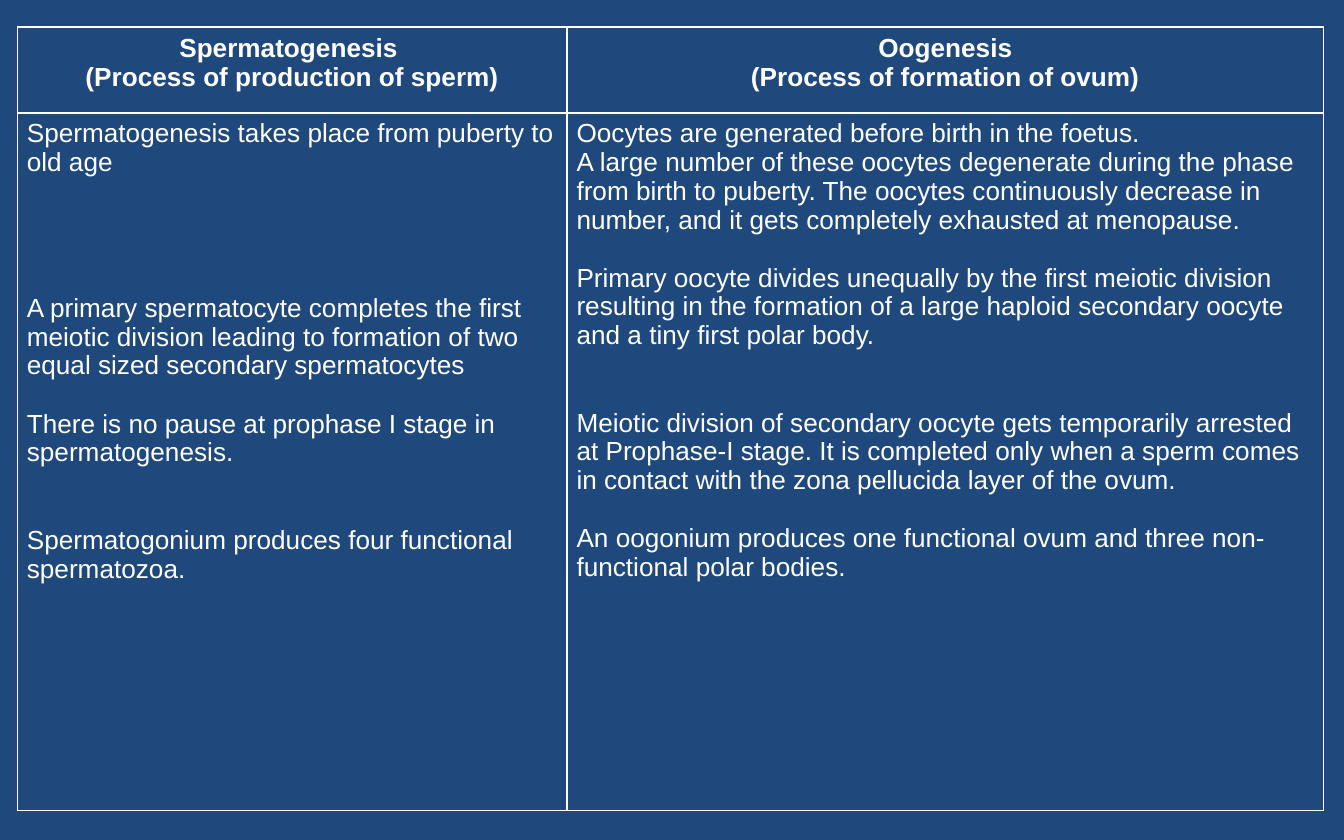
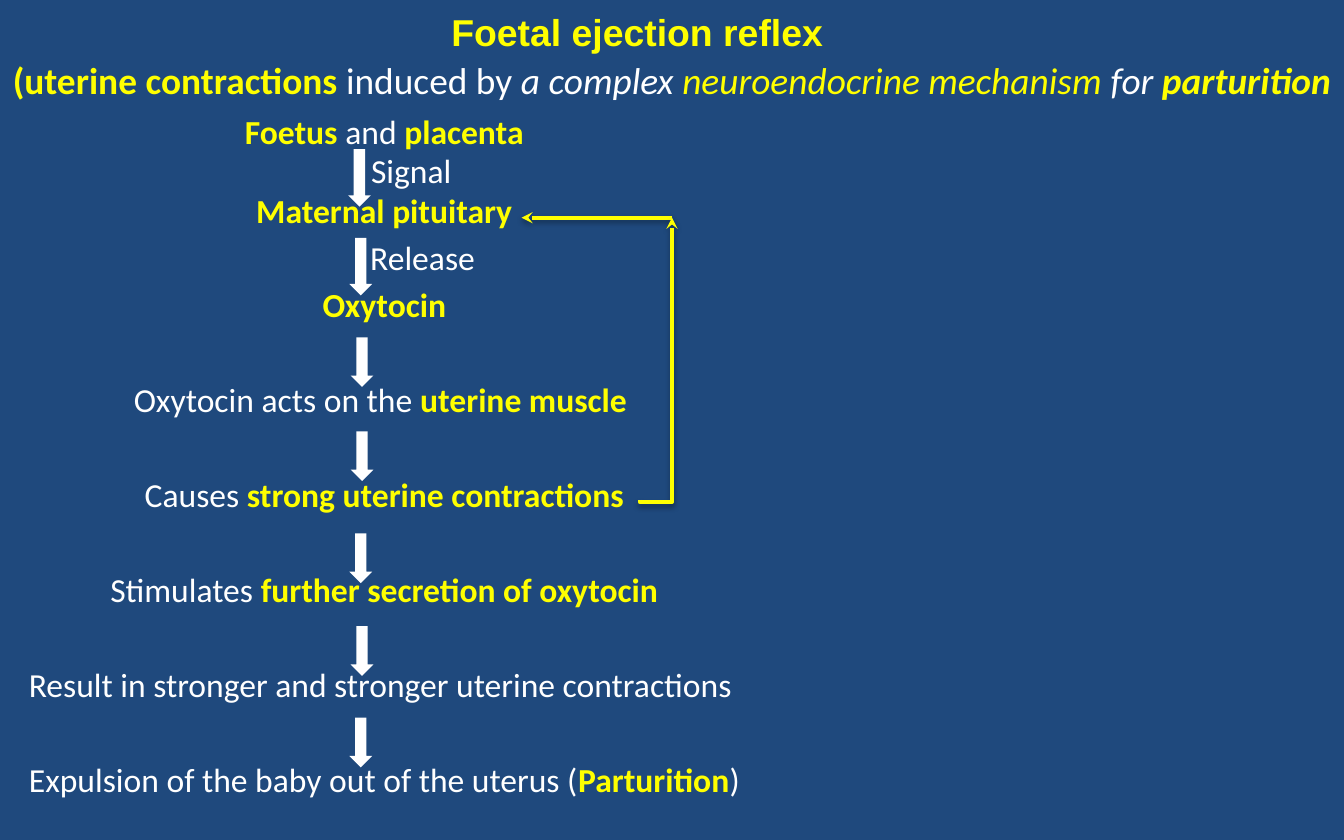
from dataclasses import dataclass

from lxml.etree import SubElement
from pptx import Presentation
from pptx.dml.color import RGBColor
from pptx.enum.shapes import MSO_CONNECTOR, MSO_SHAPE
from pptx.enum.text import MSO_ANCHOR, PP_ALIGN
from pptx.oxml import parse_xml
from pptx.oxml.ns import nsdecls, qn
from pptx.util import Pt


@dataclass(frozen=True)
class Theme:
    navy: RGBColor = RGBColor(0x1F, 0x49, 0x7D)
    white: RGBColor = RGBColor(0xFF, 0xFF, 0xFF)
    yellow: RGBColor = RGBColor(0xFF, 0xFF, 0x00)
    heading_font: str = "Arial"
    flow_font: str = "Calibri"
    title_size: int = 20
    flow_size: int = 18
    table_size: int = 14
    line_spacing: float = 0.98


theme = Theme()
PLAIN = (theme.white, False, False)
KEY = (theme.yellow, True, False)
HEADER = (theme.white, True, False)
ASIDE = (theme.white, False, True)
KEY_ASIDE = (theme.yellow, False, True)
KEY_END = (theme.yellow, True, True)


def write_runs(paragraph, runs, font_name, size):
    for text, (color, bold, italic) in runs:
        run = paragraph.add_run()
        run.text = text
        run.font.name = font_name
        run.font.size = Pt(size)
        run.font.bold = bold
        run.font.italic = italic
        run.font.color.rgb = color


def add_text_area(slide, left, top, width, height, wrap=True):
    frame = slide.shapes.add_textbox(Pt(left), Pt(top), Pt(width), Pt(height)).text_frame
    frame.word_wrap = wrap
    if wrap:
        frame.margin_left = frame.margin_right = Pt(5.6)
        frame.margin_top = frame.margin_bottom = Pt(2.8)
    return frame


deck = Presentation()
deck.slide_width, deck.slide_height = Pt(720), Pt(450)
background = deck.slide_master.background.fill
background.solid()
background.fore_color.rgb = theme.navy
blank = deck.slide_layouts[6]

comparison_slide = deck.slides.add_slide(blank)
comparison = comparison_slide.shapes.add_table(
    2, 2, Pt(9.3), Pt(14.4), Pt(699.8), Pt(419.8)).table
comparison.first_row = comparison.horz_banding = False
for column, width in zip(comparison.columns, (294.5, 405.3)):
    column.width = Pt(width)
for row, height in zip(comparison.rows, (46.1, 373.7)):
    row.height = Pt(height)

headers = [
    ["Spermatogenesis ", "(Process of production of sperm)"],
    ["Oogenesis", "(Process of formation of ovum)"],
]
points = [
    [
        (0, "Spermatogenesis takes place from puberty to old age"),
        (4, "A primary spermatocyte completes the first meiotic division leading to "
            "formation of two equal sized secondary spermatocytes"),
        (1, "There is no pause at prophase I stage in spermatogenesis."),
        (2, "Spermatogonium produces four functional spermatozoa."),
    ],
    [
        (0, "Oocytes are generated before birth in the foetus. "),
        (0, "A large number of these oocytes degenerate during the phase from birth to "
            "puberty. The oocytes continuously decrease in number, and it gets completely "
            "exhausted at menopause."),
        (1, "Primary oocyte divides unequally by the first meiotic division resulting in "
            "the formation of a large haploid secondary oocyte and a tiny first polar body."),
        (2, "Meiotic division of secondary oocyte gets temporarily arrested at Prophase-I "
            "stage. It is completed only when a sperm comes in contact with the zona "
            "pellucida layer of the ovum."),
        (1, "An oogonium produces one functional ovum and three non-functional polar bodies."),
    ],
]
table_line = 15.7

for column_index in range(2):
    header_cell = comparison.cell(0, column_index)
    points_cell = comparison.cell(1, column_index)
    for cell in (header_cell, points_cell):
        cell.margin_left = cell.margin_right = Pt(5.1)
        cell.margin_top = cell.margin_bottom = Pt(3.6)
        cell_properties = cell._tc.get_or_add_tcPr()
        for side in ("lnL", "lnR", "lnT", "lnB"):
            border = SubElement(cell_properties, qn(f"a:{side}"), w=str(Pt(1)))
            border_fill = SubElement(border, qn("a:solidFill"))
            SubElement(border_fill, qn("a:srgbClr"), val=str(theme.white))
        cell.fill.background()

    for index, text in enumerate(headers[column_index]):
        frame = header_cell.text_frame
        paragraph = frame.add_paragraph() if index else frame.paragraphs[0]
        paragraph.alignment = PP_ALIGN.CENTER
        write_runs(paragraph, [(text, HEADER)], theme.heading_font, theme.table_size)

    for index, (gap_lines, text) in enumerate(points[column_index]):
        frame = points_cell.text_frame
        paragraph = frame.add_paragraph() if index else frame.paragraphs[0]
        paragraph.line_spacing = theme.line_spacing
        if gap_lines:
            paragraph.space_before = Pt(gap_lines * table_line)
        write_runs(paragraph, [(text, PLAIN)], theme.heading_font, theme.table_size)

reflex_slide = deck.slides.add_slide(blank)
subtitle = add_text_area(reflex_slide, 0, 25.2, 720, 34.6)
subtitle.vertical_anchor = MSO_ANCHOR.MIDDLE
subtitle.paragraphs[0].alignment = PP_ALIGN.CENTER
write_runs(subtitle.paragraphs[0], [
    ("(uterine contractions ", KEY),
    ("induced by ", PLAIN),
    ("a complex ", ASIDE),
    ("neuroendocrine mechanism ", KEY_ASIDE),
    ("for", ASIDE),
    (" parturition", KEY_END),
], theme.flow_font, theme.title_size)

step_gap, arrow_gap = 4.1, 29.7
reflex_steps = [
    (0, 0, [("Foetus ", KEY), ("and ", PLAIN), ("placenta", KEY)]),
    (0, 28.8, [("Signal", PLAIN)]),
    (0, 0, [("Maternal pituitary", KEY)]),
    (step_gap, 41, [("Release", PLAIN)]),
    (step_gap, 0, [("Oxytocin", KEY)]),
    (arrow_gap, 0, [("Oxytocin acts on the ", PLAIN), ("uterine muscle ", KEY)]),
    (arrow_gap, 0, [("Causes ", PLAIN), ("strong uterine contractions", KEY)]),
    (arrow_gap, 0, [("Stimulates ", PLAIN), ("further secretion of oxytocin", KEY)]),
    (arrow_gap, 0, [("Result in stronger and stronger uterine contractions ", PLAIN)]),
    (arrow_gap, 0, [("Expulsion of the baby out of the uterus (", PLAIN),
                    ("Parturition", KEY), (")", PLAIN)]),
]
flow = add_text_area(reflex_slide, 0, 57.6, 411.8, 383.8)
for index, (gap, indent, runs) in enumerate(reflex_steps):
    paragraph = flow.paragraphs[0] if index == 0 else flow.add_paragraph()
    paragraph.alignment = PP_ALIGN.CENTER
    paragraph.line_spacing = theme.line_spacing
    if gap:
        paragraph.space_before = Pt(gap)
    if indent:
        paragraph._p.get_or_add_pPr().set("marL", str(Pt(indent)))
    write_runs(paragraph, runs, theme.flow_font, theme.flow_size)

feedback_in = reflex_slide.shapes.add_connector(
    MSO_CONNECTOR.STRAIGHT, Pt(360), Pt(116.6), Pt(279.4), Pt(116.6))
feedback_up = reflex_slide.shapes.add_connector(
    MSO_CONNECTOR.ELBOW, Pt(427), Pt(200.9), Pt(275.8), Pt(183.6))
feedback_up._element.spPr.find(qn("a:xfrm")).set("rot", "5400000")
bend = feedback_up._element.spPr.find(qn("a:prstGeom")).find(qn("a:avLst"))
SubElement(bend, qn("a:gd"), name="adj1", fmla="val -800")
for feedback in (feedback_in, feedback_up):
    feedback.line.color.rgb = theme.yellow
    feedback.line.width = Pt(2)
    SubElement(feedback.line._get_or_add_ln(), qn("a:tailEnd"), type="stealth")
    feedback._element.spPr.append(parse_xml(
        f'<a:effectLst {nsdecls("a")}><a:outerShdw blurRad="{Pt(3.1)}" dist="{Pt(1.6)}" '
        'dir="5400000" rotWithShape="0"><a:srgbClr val="000000"><a:alpha val="38000"/>'
        '</a:srgbClr></a:outerShdw></a:effectLst>'))

long_arrow, short_arrow = 30.8, 26.6
for left, top, height in [
    (186.5, 79.9, long_arrow),
    (187.2, 127.4, long_arrow),
    (187.9, 180.7, short_arrow),
    (187.9, 231.1, short_arrow),
    (187.2, 285.8, short_arrow),
    (187.9, 335.5, short_arrow),
    (187.2, 384.5, short_arrow),
]:
    step_arrow = reflex_slide.shapes.add_shape(
        MSO_SHAPE.DOWN_ARROW, Pt(left), Pt(top), Pt(12.2), Pt(height))
    step_arrow.shadow.inherit = False
    step_arrow.fill.solid()
    step_arrow.fill.fore_color.rgb = theme.white
    step_arrow.line.fill.background()

title = add_text_area(reflex_slide, 234.7, 1.4, 215.3, 31.7, wrap=False)
write_runs(title.paragraphs[0], [("Foetal ejection reflex", KEY)],
           theme.heading_font, theme.title_size)

deck.save("out.pptx")
